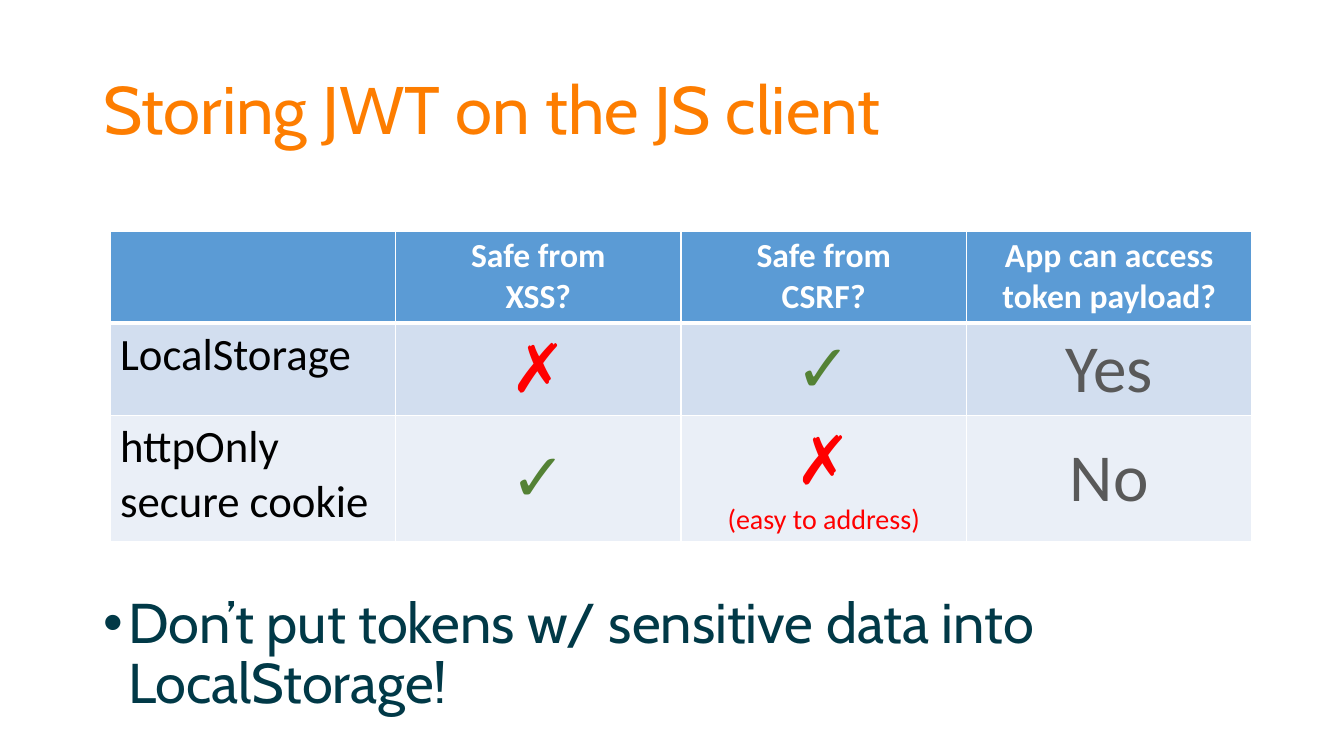
from pptx import Presentation
from pptx.dml.color import RGBColor
from pptx.enum.text import MSO_ANCHOR, MSO_AUTO_SIZE, PP_ALIGN
from pptx.oxml import parse_xml
from pptx.oxml.ns import nsdecls
from pptx.util import Emu, Pt

WHITE, RED, GREEN, GRAY = "FFFFFF", "FF0000", "548235", "595959"
YES, NO = ("✓", 48, GREEN), ("✗", 48, RED)
HEADS = ["", "Safe from\nXSS?", "Safe from\nCSRF?", "App can access token payload?"]
ROWS = [
    [[(text, 24, WHITE)] for text in HEADS],
    [[("LocalStorage", 32, "000000")], [NO], [YES], [("Yes", 48, GRAY)]],
    [[("httpOnly secure cookie", 32, "000000")], [YES],
     [NO, ("(easy to address)", 20, RED)], [("No", 48, GRAY)]],
]
FILLS = ["5B9BD5", "D2DEEF", "EAEFF7"]
HIGHS = [92, 92, 126]


def px(count):
    """Turn pixels into EMU."""
    return Emu(round(count * 914400 / 100.8))


def tint(code):
    """Turn a hex string into a colour."""
    return RGBColor.from_string(code)


def style(font, code, **form):
    """Set the colour and the other values of a font."""
    font.color.rgb = tint(code)
    for name, value in form.items():
        setattr(font, name, value)


def hold(shape, box, text, size, code):
    """Move a placeholder to its box and give it one left-aligned paragraph."""
    for name, value in zip(("left", "top", "width", "height"), box):
        setattr(shape, name, px(value))
    frame = shape.text_frame
    frame.text = text
    frame.auto_size = MSO_AUTO_SIZE.NONE
    para = frame.paragraphs[0]
    form = {"alignment": PP_ALIGN.LEFT, "line_spacing": 0.9, "space_before": Pt(0)}
    for name, value in form.items():
        setattr(para, name, value)
    style(para.runs[0].font, code, name="Cabin", size=Pt(size), bold=False)
    return para


def title(slide, box):
    """Place the heading."""
    shape = slide.shapes.title
    hold(shape, box, "Storing JWT on the JS client", 48, "FD7D00")
    shape.text_frame.vertical_anchor = MSO_ANCHOR.MIDDLE


def advice(slide, box):
    """Place the bulleted advice."""
    text = "Don’t put tokens w/ sensitive data into LocalStorage!"
    para = hold(slide.placeholders[1], box, text, 40, "013947")
    props = para._p.get_or_add_pPr()
    props.set("marL", str(px(25)))
    props.set("indent", str(-px(25)))
    for tag in ('buFont typeface="Arial"', 'buChar char="•"'):
        props.append(parse_xml(f"<a:{tag} {nsdecls('a')}/>"))


def edge(cell, row):
    """Draw white cell borders, thick below the header."""
    thick = {(0, "B"), (1, "T")}
    for side in "LRTB":
        wide = Pt(3 if (row, side) in thick else 1)
        cell._tc.get_or_add_tcPr().append(parse_xml(
            f'<a:ln{side} {nsdecls("a")} w="{wide}"><a:solidFill>'
            f'<a:srgbClr val="{WHITE}"/></a:solidFill></a:ln{side}>'))


def write(cell, parts, row, col):
    """Fill one cell with its paragraphs."""
    edge(cell, row)
    cell.fill.solid()
    cell.fill.fore_color.rgb = tint(FILLS[row])
    cell.vertical_anchor = MSO_ANCHOR.MIDDLE if col else MSO_ANCHOR.TOP
    cell.text = "\n".join(text for text, _, _ in parts)
    looks = [(size, code) for text, size, code in parts for _ in text.split("\n")]
    for para, (size, code) in zip(cell.text_frame.paragraphs, looks):
        para.alignment = PP_ALIGN.CENTER if col else PP_ALIGN.LEFT
        form = {"name": "Calibri", "size": Pt(size), "bold": row == 0}
        for part in (para, *para.runs):
            style(part.font, code, **form)


def grid(slide, left, top, wide):
    """Place the table of storage options."""
    count = len(HEADS)
    area = map(px, (left, top, wide, sum(HIGHS)))
    table = slide.shapes.add_table(len(ROWS), count, *area).table
    for column in table.columns:
        column.width = px(wide / count)
    for row, cells in enumerate(ROWS):
        table.rows[row].height = px(HIGHS[row])
        for col, parts in enumerate(cells):
            write(table.cell(row, col), parts, row, col)


def main():
    """Build and save the slide."""
    deck = Presentation()
    deck.slide_width, deck.slide_height = px(1344), px(756)
    slide = deck.slides.add_slide(deck.slide_layouts[1])
    title(slide, (93, 40, 1159, 146))
    advice(slide, (93, 590, 1237, 132))
    grid(slide, 110, 231, 1142)
    deck.save("out.pptx")


if __name__ == "__main__":
    main()
